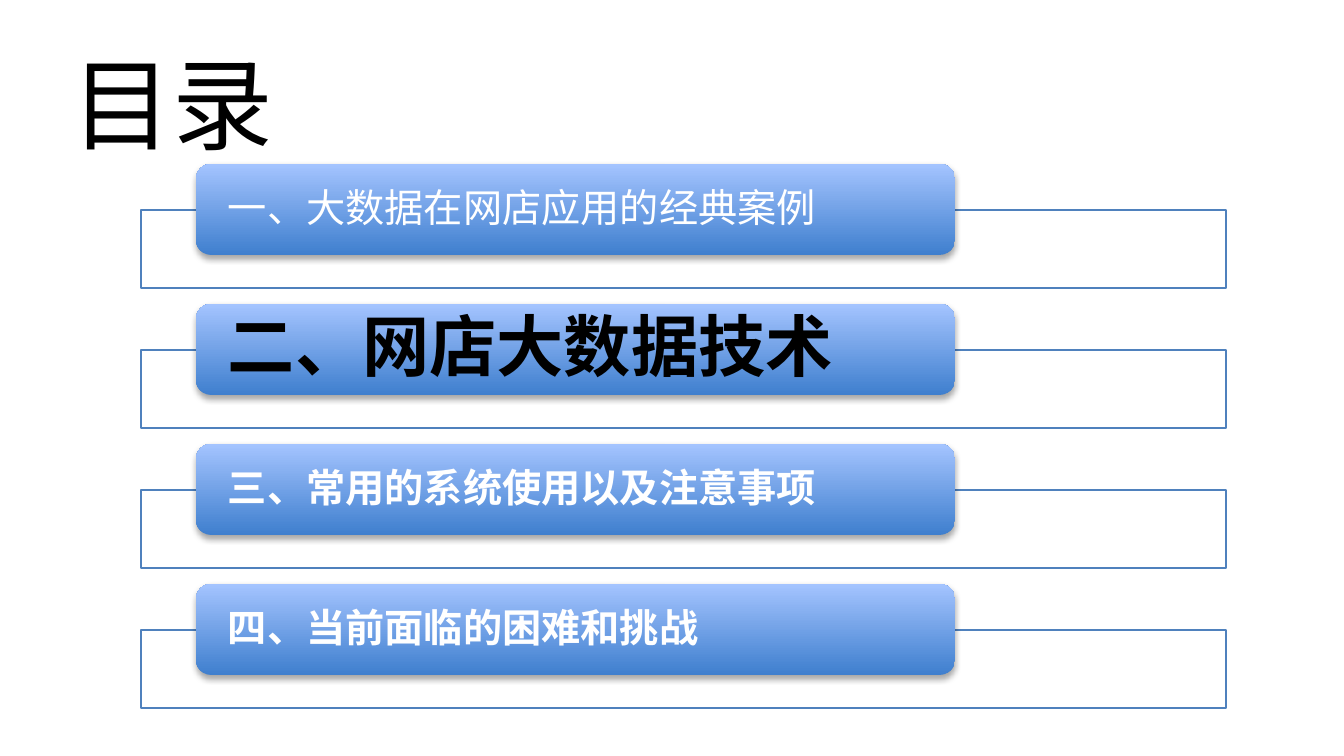
from dataclasses import dataclass

from lxml.etree import SubElement as Sub
from pptx import Presentation
from pptx.dml.color import RGBColor as RGB
from pptx.enum.shapes import MSO_SHAPE as Kind
from pptx.enum.text import MSO_ANCHOR as Anchor, MSO_AUTO_SIZE as Auto, PP_ALIGN as Align
from pptx.oxml.ns import qn
from pptx.util import Pt

SCALE = 914400 / 134.4  # EMU in one px


@dataclass(frozen=True)
class Theme:
    font: str = "Noto Sans CJK SC"
    black: str = "000000"
    white: str = "FFFFFF"
    edge: str = "4F81BD"
    deep: str = "3F7FCE"
    light: str = "A4C4FF"
    head: int = 54
    big: int = 36
    item: int = 21


T = Theme()
ITEMS = [
    ("一、大数据在网店应用的经典案例", {"bold": False}),
    ("二、网店大数据技术", {"size": T.big, "color": T.black}),
    ("三、常用的系统使用以及注意事项", {}),
    ("四、当前面临的困难和挑战", {}),
]


def px(*vals):
    return [round(v * SCALE) for v in vals]


def write(frame, text, size=T.item, color=T.white, bold=True, line=None):
    para = frame.paragraphs[0]
    para.alignment = Align.LEFT
    para.line_spacing = line
    run = para.add_run()
    run.text = text
    font = run.font
    font.name, font.size, font.bold = T.font, Pt(size), bold
    font.color.rgb = RGB.from_string(color)
    Sub(font._element, qn("a:ea"), typeface=T.font)


def shade(shape):
    """Soft shadow straight below the shape."""
    fx = shape._element.spPr.find(qn("a:effectLst"))
    drop = Sub(fx, qn("a:outerShdw"), blurRad=str(Pt(3.1)), dist=str(Pt(1.8)),
               dir="5400000", rotWithShape="0")
    tint = Sub(drop, qn("a:srgbClr"), val=T.black)
    Sub(tint, qn("a:alpha"), val="35000")


def title(slide, box):
    head = slide.shapes.title
    head.left, head.top, head.width, head.height = px(*box)
    frame = head.text_frame
    frame.word_wrap = True
    frame.auto_size = Auto.SHAPE_TO_FIT_TEXT
    frame.vertical_anchor = Anchor.TOP
    write(frame, "目录", size=T.head, color=T.black, bold=False)


def entry(slide, box, text, style):
    x, y, w, h = box
    shapes = slide.shapes

    # Outlined panel behind the bar
    panel = shapes.add_shape(Kind.RECTANGLE, *px(x, y + 46, w, h - 46))
    panel.shadow.inherit = False
    panel.fill.solid()
    panel.fill.fore_color.rgb = RGB.from_string(T.white)
    tint = panel._element.spPr.find(qn("a:solidFill"))[0]
    Sub(tint, qn("a:alpha"), val="90000")
    panel.line.color.rgb = RGB.from_string(T.edge)
    panel.line.width = Pt(0.75)

    # Gradient bar
    bar = shapes.add_shape(Kind.ROUNDED_RECTANGLE, *px(x + 55, y, 759, 91))
    bar.shadow.inherit = False
    bar.line.fill.background()
    bar.fill.gradient()
    bar.fill.gradient_angle = 90
    for stop, color in zip(bar.fill.gradient_stops, (T.deep, T.light)):
        stop.color.rgb = RGB.from_string(color)
    shade(bar)

    # Label
    frame = shapes.add_textbox(*px(x + 59, y + 5, 750, 82)).text_frame
    frame.word_wrap = True
    frame.vertical_anchor = Anchor.MIDDLE
    frame.margin_left, frame.margin_right = px(28, 28)
    frame.margin_top = frame.margin_bottom = 0
    write(frame, text, line=0.9, **style)


def agenda(slide, box, step=140):
    x, y, w, h = box
    for i, (text, style) in enumerate(ITEMS):
        entry(slide, (x, y + i * step, w, h - step * (len(ITEMS) - 1)), text, style)


def main():
    deck = Presentation()
    deck.slide_width, deck.slide_height = px(1344, 756)
    slide = deck.slides.add_slide(deck.slide_layouts[5])
    agenda(slide, (141, 164, 1085, 544))
    title(slide, (58, 35, 293, 136))
    deck.save("out.pptx")


if __name__ == "__main__":
    main()
